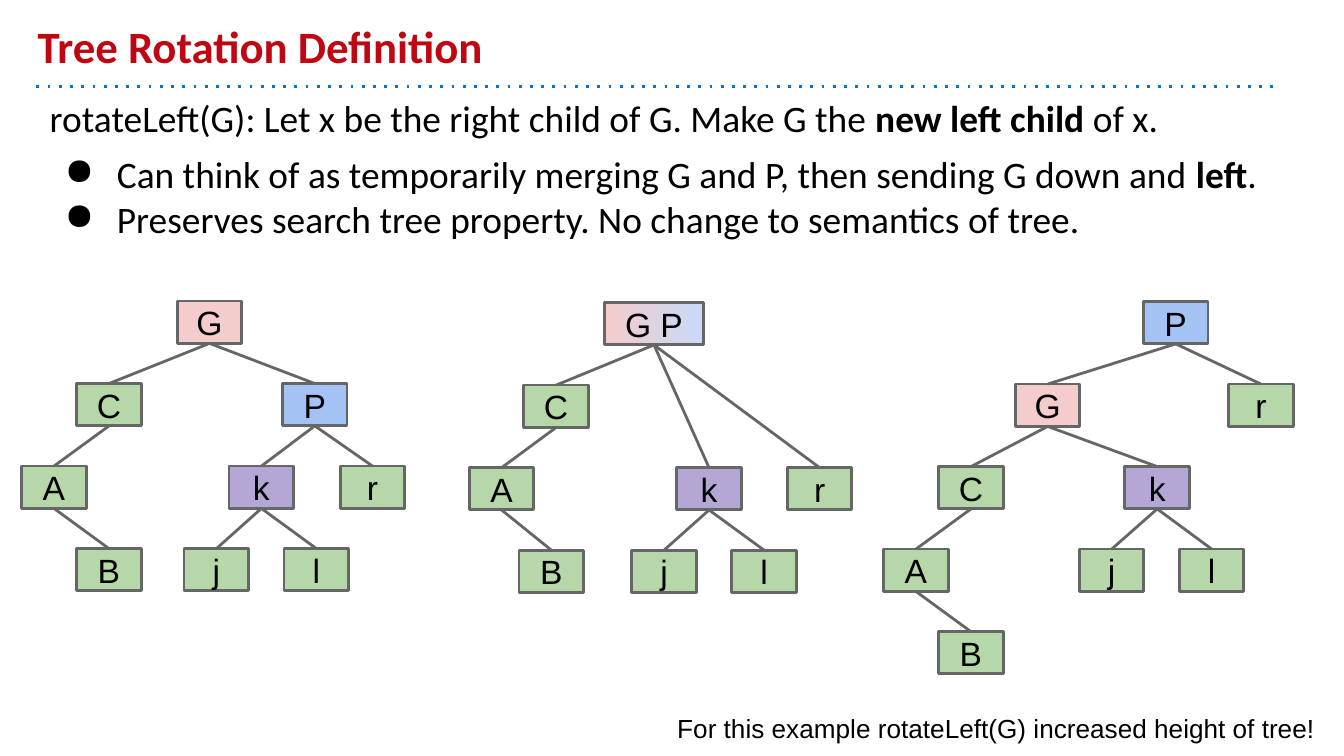
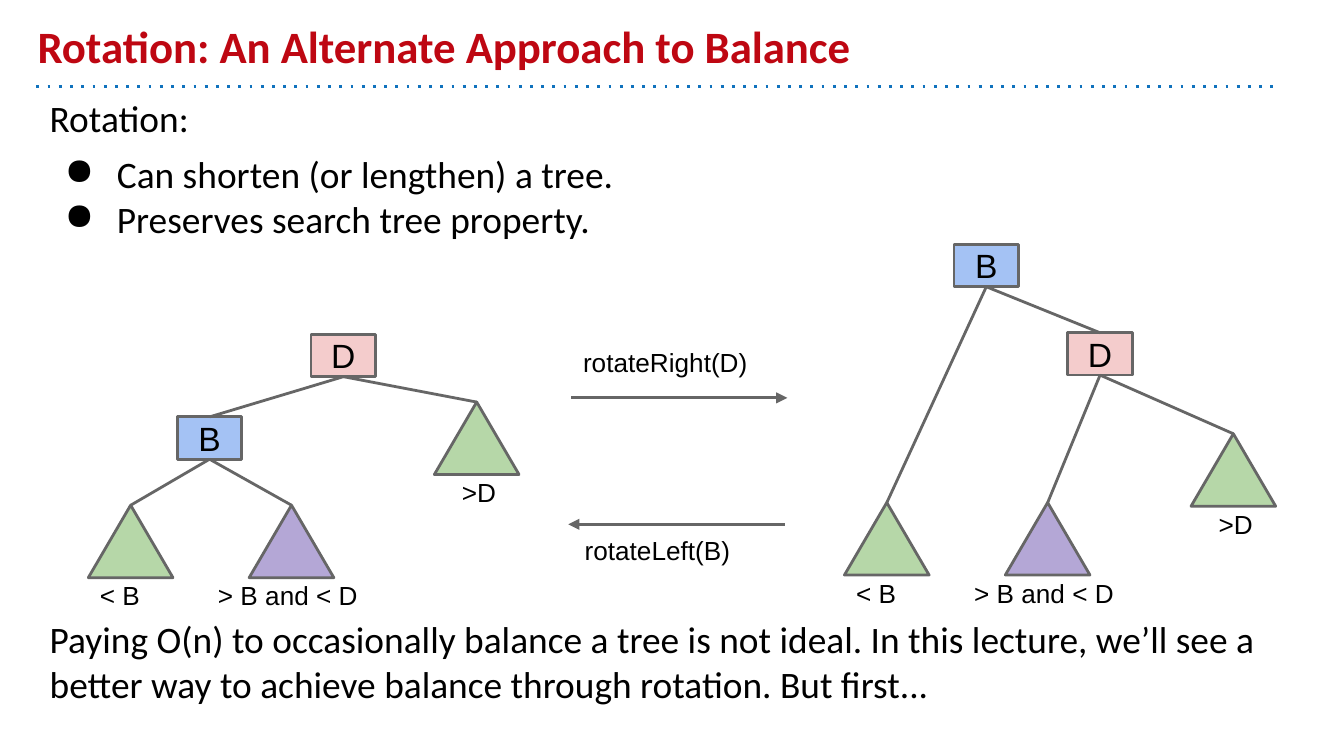
from lxml import etree
from pptx import Presentation, util as u
from pptx.dml.color import RGBColor
from pptx.enum import shapes as kinds, text as t
from pptx.oxml.ns import qn

BLACK, RED, DOTS, EDGE = "000000", "BE0712", "1072BD", "666666"
PINK, BLUE, GREEN, PURPLE = "F4CCCC", "A4C2F4", "B6D7A8", "B4A7D6"
PALE_BLUE = "C9DAF8"
TITLE = {"name": "Calibri", "size": u.Pt(24), "bold": True}
BODY = {"name": "Calibri", "size": u.Pt(20)}
LABEL = {"name": "Arial", "size": u.Pt(18)}
NOTE = {"name": "Arial", "size": u.Pt(14)}
LINE_WIDTH = u.Pt(1.5)
NODE_WIDTH, NODE_HEIGHT, LEVEL_STEP = 1.22, 0.8, 1.56
TRIANGLE_WIDTH, TRIANGLE_HEIGHT = 1.6, 1.37
BODY_LEFT, BODY_TOP = 0.69, 1.55
MERGED = "G P"

ROTATION_COLOURS = {"G": PINK, "P": BLUE, "k": PURPLE}
BALANCE_COLOURS = {"D": PINK, "B": BLUE}
SUBTREES = {
    "< B": (GREEN, 0.83, 1.52),
    "> B and < D": (PURPLE, 1.64, 3.78),
    ">D": (GREEN, 0.53, 1.6),
}

BEFORE = [
    ("G", 3.96, 0, None), ("C", 2.06, 1, "G"), ("P", 5.95, 1, "G"),
    ("A", 1.02, 2, "C"), ("k", 4.94, 2, "P"), ("r", 7.04, 2, "P"),
    ("B", 2.06, 3, "A"), ("j", 4.09, 3, "k"), ("l", 5.98, 3, "k"),
]
MERGING = [
    (MERGED, 12.36, 0, None), ("C", 10.51, 1, MERGED),
    ("A", 9.48, 2, "C"), ("k", 13.4, 2, MERGED), ("r", 15.49, 2, MERGED),
    ("B", 10.42, 3, "A"), ("j", 12.55, 3, "k"), ("l", 14.44, 3, "k"),
]
AFTER = [
    ("P", 22.22, 0, None), ("G", 19.8, 1, "P"), ("r", 23.83, 1, "P"),
    ("C", 18.35, 2, "G"), ("k", 21.87, 2, "G"),
    ("A", 17.31, 3, "C"), ("j", 21.01, 3, "k"), ("l", 22.9, 3, "k"),
    ("B", 18.35, 4, "A"),
]
LEFT_HEAVY = [
    ("D", 6.49, 6.32, None), ("B", 3.96, 7.88, "D"), (">D", 9.01, 7.6, "D"),
    ("< B", 2.47, 9.55, "B"), ("> B and < D", 5.51, 9.55, "B"),
]
RIGHT_HEAVY = [
    ("B", 18.64, 4.62, None), ("D", 20.79, 6.29, "B"), (">D", 23.31, 8.2, "D"),
    ("< B", 16.76, 9.5, "B"), ("> B and < D", 19.8, 9.5, "D"),
]


def colour(code):
    return RGBColor.from_string(code)


def apply_format(target, values):
    for name, value in values.items():
        setattr(target, name, value)


def add_mark(parent, tag, **attributes):
    return etree.SubElement(parent, qn(tag), attributes)


def write_spans(para, wording, font, ink=BLACK):
    for index, part in enumerate(wording.split("**")):
        if part:
            span = para.add_run()
            span.text = part
            apply_format(span.font, font)
            span.font.color.rgb = colour(ink)
            if index % 2:
                span.font.bold = True


def prepare_frame(frame, anchor):
    margin = u.Cm(0.25)
    apply_format(frame, {
        "word_wrap": True, "vertical_anchor": anchor,
        "margin_left": margin, "margin_right": margin,
        "margin_top": margin, "margin_bottom": margin,
    })


def add_text(shapes, place, wording, font, ink=BLACK, anchor=t.MSO_ANCHOR.TOP):
    box = shapes.add_textbox(*[u.Cm(value) for value in place])
    prepare_frame(box.text_frame, anchor)
    write_spans(box.text_frame.paragraphs[0], wording, font, ink)
    return box


def add_bullet(para):
    props = para._p.get_or_add_pPr()
    props.set("marL", str(u.Cm(1.27)))
    props.set("indent", str(u.Cm(-0.99)))
    add_mark(add_mark(props, "a:buClr"), "a:srgbClr", val=BLACK)
    add_mark(props, "a:buChar", char="●")


def add_body(page, place, intro, bullets=()):
    box = add_text(page.shapes, place, intro, BODY)
    box.text_frame.paragraphs[0].space_before = u.Pt(6)
    for index, wording in enumerate(bullets):
        para = box.text_frame.add_paragraph()
        para.space_before = u.Pt(0 if index else 6)
        add_bullet(para)
        write_spans(para, wording, BODY)


def add_line(shapes, ends, ink=EDGE, dash=None, arrow=False):
    line = shapes.add_connector(kinds.MSO_CONNECTOR.STRAIGHT, *ends)
    line.line.color.rgb = colour(ink)
    line.line.width = LINE_WIDTH
    props = line._element.spPr
    stroke = props.find(qn("a:ln"))
    if dash:
        add_mark(stroke, "a:prstDash", val=dash)
    if arrow:
        add_mark(stroke, "a:tailEnd", type="triangle")
    add_mark(props, "a:effectLst")
    return line


def add_outline(shapes, kind, centre, top, width, height, fill):
    shape = shapes.add_shape(
        kind, u.Cm(centre - width / 2), u.Cm(top), u.Cm(width), u.Cm(height))
    shape.shadow.inherit = False
    shape.line.color.rgb = colour(EDGE)
    shape.line.width = LINE_WIDTH
    shape.fill.solid()
    shape.fill.fore_color.rgb = colour(fill)
    return shape


def add_node(shapes, label, centre, top, fill):
    width = 1.86 if label == MERGED else NODE_WIDTH
    node = add_outline(shapes, kinds.MSO_SHAPE.RECTANGLE, centre, top,
                       width, NODE_HEIGHT, fill)
    if label == MERGED:
        node.fill.gradient()
        node.fill.gradient_angle = 0
        for stop, code in zip(node.fill.gradient_stops, (PINK, PALE_BLUE)):
            stop.color.rgb = colour(code)
    prepare_frame(node.text_frame, t.MSO_ANCHOR.MIDDLE)
    para = node.text_frame.paragraphs[0]
    para.alignment = t.PP_ALIGN.CENTER
    write_spans(para, label, LABEL)
    return node


def add_subtree(shapes, label, centre, top):
    fill, shift, width = SUBTREES[label]
    triangle = add_outline(shapes, kinds.MSO_SHAPE.ISOSCELES_TRIANGLE, centre, top,
                           TRIANGLE_WIDTH, TRIANGLE_HEIGHT, fill)
    add_text(shapes, (centre - shift, top + 1.18, width, 0.48), label, NOTE)
    return triangle


def add_edge(shapes, parent, child):
    ends = (parent.left + parent.width // 2, parent.top + parent.height,
            child.left + child.width // 2, child.top)
    edge = add_line(shapes, ends)
    edge.begin_connect(parent, 2)
    edge.end_connect(child, 0)


def add_tree(shapes, nodes, fills):
    drawn = {}
    for label, centre, top, parent in nodes:
        if label in SUBTREES:
            drawn[label] = add_subtree(shapes, label, centre, top)
        else:
            drawn[label] = add_node(shapes, label, centre, top, fills.get(label, GREEN))
        if parent:
            add_edge(shapes, drawn[parent], drawn[label])


def add_level_tree(shapes, nodes, root_top):
    placed = [(label, centre, root_top + level * LEVEL_STEP, parent)
              for label, centre, level, parent in nodes]
    add_tree(shapes, placed, ROTATION_COLOURS)


def add_arrow(page, start, end, height):
    ends = [u.Cm(value) for value in (start, height, end, height)]
    add_line(page.shapes, ends, arrow=True)


def add_page(deck, title):
    page = deck.slides.add_slide(deck.slide_layouts[6])
    ends = [u.Cm(value) for value in (0.69, 1.63, 24.13, 1.63)]
    add_line(page.shapes, ends, DOTS, dash="dot")
    add_text(page.shapes, (0.46, 0.25, 22.86, 1.37), title, TITLE, RED,
             t.MSO_ANCHOR.BOTTOM)
    return page


def build_definition(deck):
    page = add_page(deck, "Tree Rotation Definition")
    add_body(
        page, (BODY_LEFT, BODY_TOP, 24.71, 3.63),
        "rotateLeft(G): Let x be the right child of G. Make G the **new left child **of x.",
        ("Can think of as temporarily merging G and P, then sending G down and **left**.",
         "Preserves search tree property. No change to semantics of tree."))
    add_level_tree(page.shapes, BEFORE, 5.69)
    add_level_tree(page.shapes.add_group_shape().shapes, MERGING, 5.72)
    add_level_tree(page.shapes.add_group_shape().shapes, AFTER, 5.7)
    add_text(page.shapes, (12.55, 13.21, 12.83, 1.14),
             "For this example rotateLeft(G) increased height of tree!", NOTE)


def build_balance(deck):
    page = add_page(deck, "Rotation: An Alternate Approach to Balance")
    add_body(page, (BODY_LEFT, BODY_TOP, 23.9, 2.24), "Rotation:",
             ("Can shorten (or lengthen) a tree.", "Preserves search tree property."))
    for nodes in (LEFT_HEAVY, RIGHT_HEAVY):
        add_tree(page.shapes, nodes, BALANCE_COLOURS)
    add_arrow(page, 10.8, 14.88, 7.52)
    add_arrow(page, 14.83, 10.74, 9.91)
    add_text(page.shapes, (10.77, 6.3, 4.06, 1.04), "rotateRight(D)", NOTE)
    add_text(page.shapes, (10.8, 9.86, 4.06, 1.04), "rotateLeft(B)", NOTE)
    add_body(page, (BODY_LEFT, 11.4, 23.9, 2.24),
             "Paying O(n) to occasionally balance a tree is not ideal. In this lecture, "
             "we’ll see a better way to achieve balance through rotation. But first...")


def main():
    deck = Presentation()
    deck.slide_width, deck.slide_height = u.Cm(25.4), u.Cm(14.29)
    build_definition(deck)
    build_balance(deck)
    deck.save("out.pptx")


if __name__ == "__main__":
    main()
